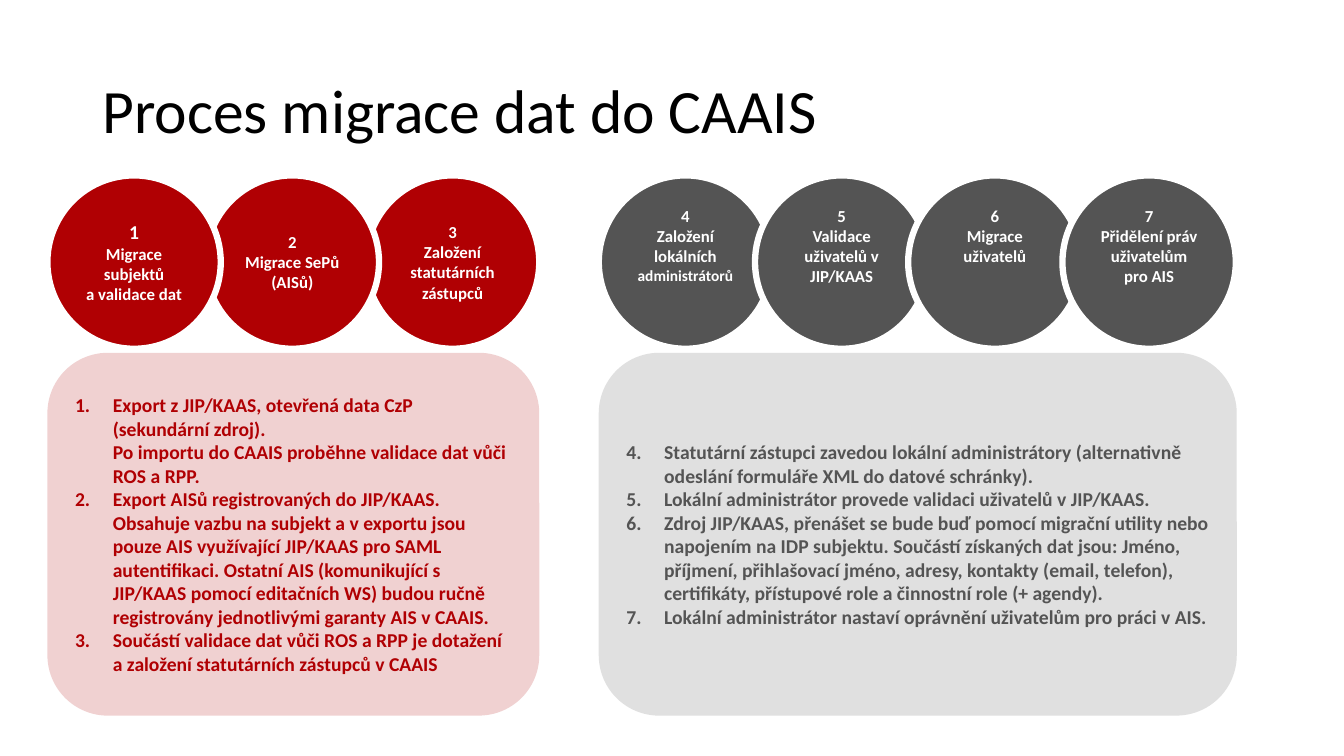
import copy
import pptx
import pptx.util
import pptx.dml.color
import pptx.enum.shapes
import pptx.enum.text
import pptx.oxml.ns
from lxml import etree

Pt = pptx.util.Pt
qn = pptx.oxml.ns.qn
SHAPES = pptx.enum.shapes.MSO_SHAPE
ANCHOR = pptx.enum.text.MSO_ANCHOR
ALIGN = pptx.enum.text.PP_ALIGN


def color(hex_value):
    return pptx.dml.color.RGBColor.from_string(hex_value)


class ProcessSlide:
    font_name = "Calibri"
    circle_top = 125.28
    circle_size = 123.84
    panel_top = 252
    panel_height = 259.2

    def __init__(self, slide):
        self.slide = slide

    def add_text(self, paragraph, text, size, hex_value, bold):
        first = len(paragraph.runs)
        for index, line in enumerate(text.split("\n")):
            if index:
                paragraph.add_line_break()
            paragraph.add_run().text = line
        style = {"name": self.font_name, "size": Pt(size), "bold": bold}
        for run in paragraph.runs[first:]:
            for key, value in style.items():
                setattr(run.font, key, value)
            run.font.color.rgb = color(hex_value)
        for line_break in paragraph._p.findall(qn("a:br")):
            line_break.insert(0, copy.deepcopy(paragraph.runs[-1]._r.rPr))

    def paragraphs(self, frame, count):
        return [frame.paragraphs[0]] + [frame.add_paragraph() for _ in range(count - 1)]

    def title(self, text):
        frame = self.slide.shapes.add_textbox(Pt(66.24), Pt(28.8), Pt(828), Pt(104.4)).text_frame
        for key, value in {"word_wrap": True, "vertical_anchor": ANCHOR.MIDDLE}.items():
            setattr(frame, key, value)
        heading = frame.paragraphs[0]
        heading.line_spacing = 0.9
        self.add_text(heading, text, 44, "000000", False)

    def shape(self, preset, left, top, width, height, fill, anchor):
        shape = self.slide.shapes.add_shape(preset, Pt(left), Pt(top), Pt(width), Pt(height))
        shape.shadow.inherit = False
        shape.fill.solid()
        shape.fill.fore_color.rgb = color(fill)
        for key, value in {"word_wrap": True, "vertical_anchor": anchor}.items():
            setattr(shape.text_frame, key, value)
        return shape

    def step(self, number, left, label, fill, anchor, number_size=12):
        circle = self.shape(SHAPES.OVAL, left, self.circle_top, self.circle_size,
                            self.circle_size, fill, anchor)
        circle.line.color.rgb = color("FFFFFF")
        circle.line.width = Pt(4.5)
        number_line, label_line = self.paragraphs(circle.text_frame, 2)
        self.add_text(number_line, str(number), number_size, "FFFFFF", True)
        for text, size in label:
            self.add_text(label_line, text, size, "FFFFFF", True)
        for line in (number_line, label_line):
            line.alignment = ALIGN.CENTER

    def panel(self, left, width, hex_value, start, details):
        panel = self.shape(SHAPES.ROUNDED_RECTANGLE, left, self.panel_top, width,
                           self.panel_height, hex_value, ANCHOR.MIDDLE)
        panel.line.fill.background()
        tint = panel._element.spPr.find(qn("a:solidFill")).find(qn("a:srgbClr"))
        etree.SubElement(tint, qn("a:alpha"), val="18000")
        for item, text in zip(self.paragraphs(panel.text_frame, len(details)), details):
            item.alignment = ALIGN.LEFT
            properties = item._p.get_or_add_pPr()
            for key, value in {"marL": Pt(27), "indent": -Pt(27)}.items():
                properties.set(key, str(int(value)))
            etree.SubElement(properties, qn("a:buFont"), typeface="+mj-lt")
            etree.SubElement(properties, qn("a:buAutoNum"), type="arabicPeriod",
                             startAt=str(start))
            self.add_text(item, text, 14, hex_value, True)


RED = "B00003"
GRAY = "545454"

DATA_DETAILS = [
    "Export z JIP/KAAS, otevřená data CzP (sekundární zdroj). \n"
    "Po importu do CAAIS proběhne validace dat vůči ROS a RPP.",
    "Export AISů registrovaných do JIP/KAAS. Obsahuje vazbu na subjekt a v exportu jsou "
    "pouze AIS využívající JIP/KAAS pro SAML autentifikaci. Ostatní AIS (komunikující s "
    "JIP/KAAS pomocí editačních WS) budou ručně registrovány jednotlivými garanty AIS v CAAIS.",
    "Součástí validace dat vůči ROS a RPP je dotažení a založení statutárních zástupců v CAAIS",
]
USER_DETAILS = [
    "Statutární zástupci zavedou lokální administrátory (alternativně odeslání formuláře XML "
    "do datové schránky).",
    "Lokální administrátor provede validaci uživatelů v JIP/KAAS.",
    "Zdroj JIP/KAAS, přenášet se bude buď pomocí migrační utility nebo napojením na IDP "
    "subjektu. Součástí získaných dat jsou: Jméno, příjmení, přihlašovací jméno, adresy, "
    "kontakty (email, telefon), certifikáty, přístupové role a činnostní role (+ agendy).",
    "Lokální administrátor nastaví oprávnění uživatelům pro práci v AIS.",
]
DATA_STEPS = [
    (3, 261.36, [("Založení statutárních zástupců", 12)], 12),
    (2, 146.88, [("Migrace SePů (AISů)", 12)], 12),
    (1, 33.84, [("Migrace subjektů\na validace dat", 12)], 14),
]
USER_STEPS = [
    (4, 427.68, [("Založení lokálních ", 12), ("administrátorů", 11)]),
    (5, 539.28, [("Validace uživatelů v JIP/KAAS", 12)]),
    (6, 648.72, [("Migrace uživatelů", 12)]),
    (7, 758.88, [("Přidělení práv uživatelům pro AIS", 12)]),
]


def main():
    deck = pptx.Presentation()
    deck.slide_width = Pt(960)
    deck.slide_height = Pt(540)
    migration = ProcessSlide(deck.slides.add_slide(deck.slide_layouts[6]))
    migration.title("Proces migrace dat do CAAIS")
    migration.panel(33.84, 351.36, RED, 1, DATA_DETAILS)
    for number, left, label, number_size in DATA_STEPS:
        migration.step(number, left, label, RED, ANCHOR.MIDDLE, number_size)
    for number, left, label in USER_STEPS:
        migration.step(number, left, label, GRAY, ANCHOR.TOP)
    migration.panel(427.68, 455.76, GRAY, 4, USER_DETAILS)
    deck.save("out.pptx")


if __name__ == "__main__":
    main()
